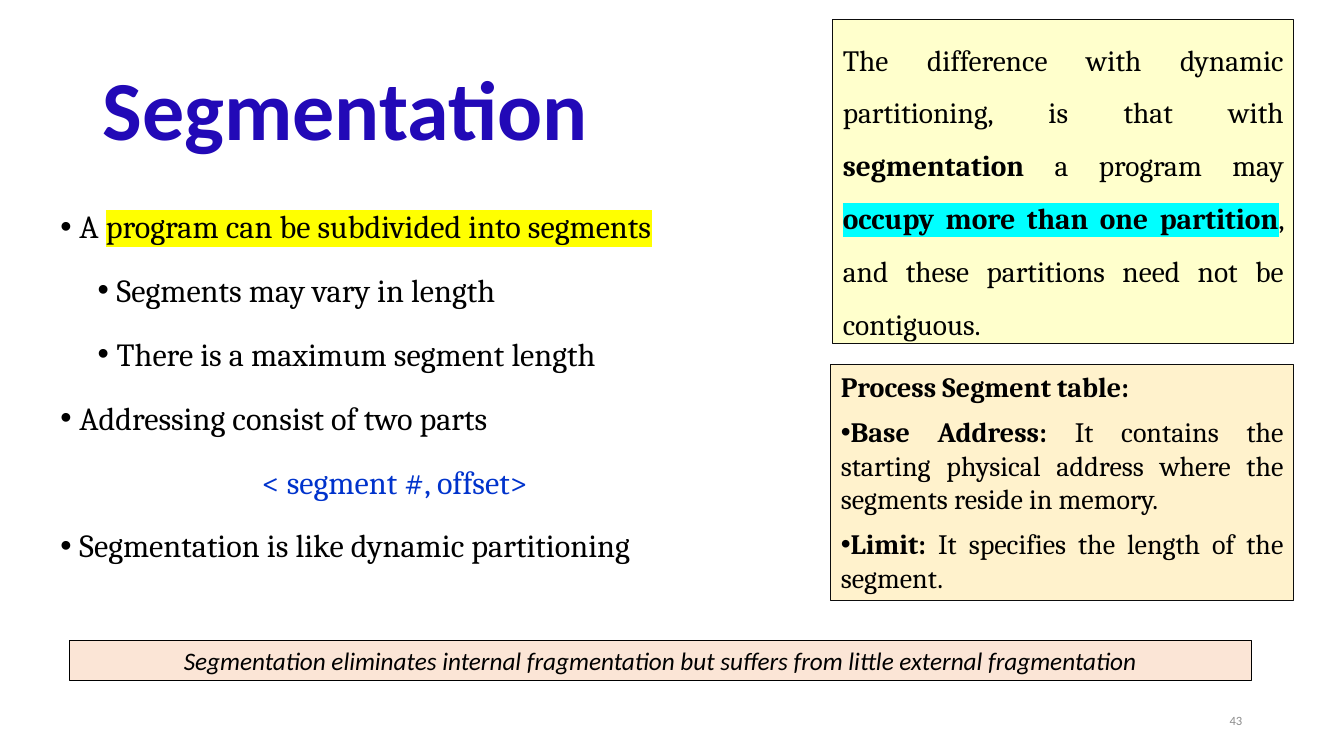
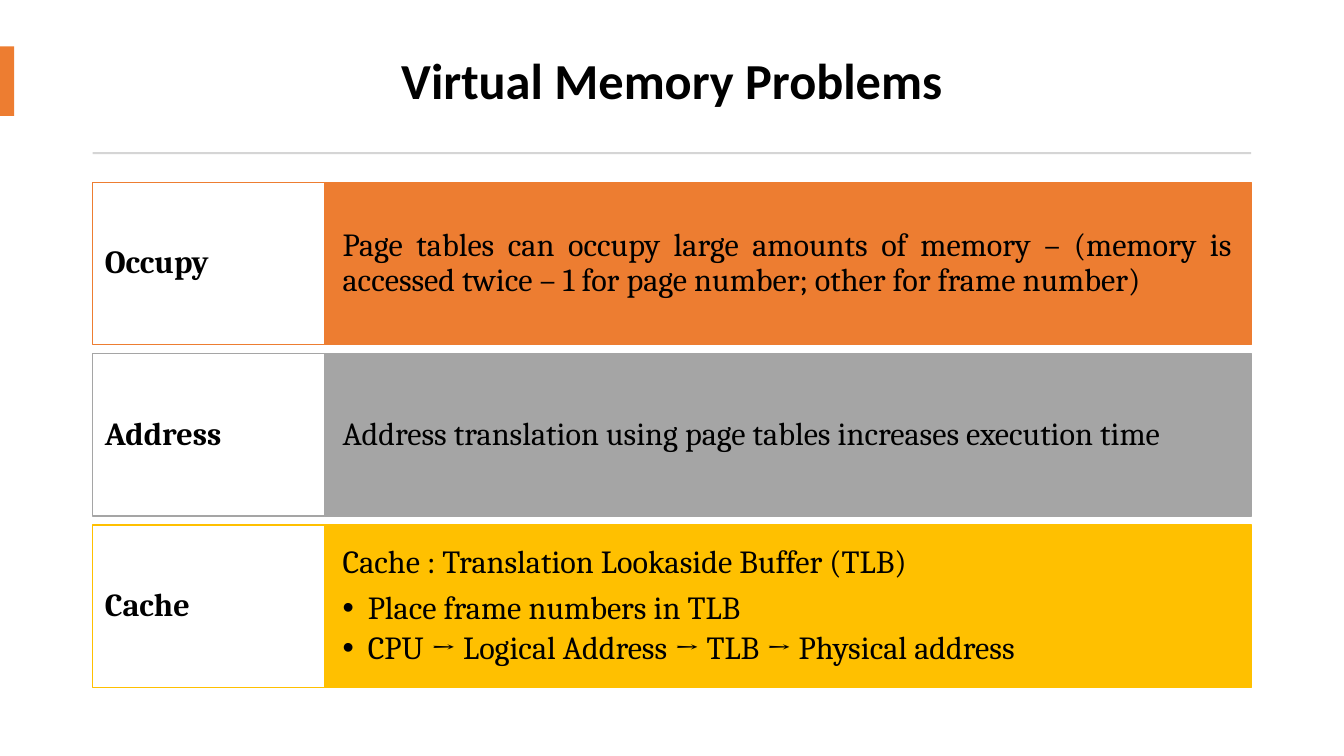
from lxml import etree
from pptx import Presentation, util as u
from pptx.dml.color import RGBColor
from pptx.enum import shapes, text
from pptx.oxml.ns import qn

WIDTH, HEIGHT = u.Inches(13.33), u.Inches(7.5)
COLUMN, ROW = WIDTH / 100, HEIGHT / 100
MARGIN, CONTENT = 6.9, 86.2
HEADING, SERIF = "Calibri", "Cambria"
LEFT, CENTER, RIGHT, JUSTIFY = (
    text.PP_ALIGN.LEFT, text.PP_ALIGN.CENTER, text.PP_ALIGN.RIGHT, text.PP_ALIGN.JUSTIFY)
TOP, MIDDLE = text.MSO_ANCHOR.TOP, text.MSO_ANCHOR.MIDDLE
COLORS = {
    "black": "000000", "white": "FFFFFF", "outline": "0D0D0D",
    "title": "2209B7", "address": "0033CC", "number": "8C8C8C",
    "yellow mark": "FFFF00", "cyan mark": "00FFFF",
    "difference": "FFFFCC", "segment table": "FFF2CC", "summary": "FBE5D6",
    "orange": "ED7D31", "gray": "A5A5A5", "gold": "FFC000", "rule": "D5D5D5",
}


def rgb(name):
    return RGBColor.from_string(COLORS[name])


def grid(left, top, width, height):
    return [int(n) for n in (left * COLUMN, top * ROW, width * COLUMN, height * ROW)]


def add_run(paragraph, words, size=23, font=SERIF, color="black",
            bold=False, italic=False, mark=None):
    run = paragraph.add_run()
    run.text = words
    run.font.size, run.font.name = u.Pt(size), font
    run.font.bold, run.font.italic = bold, italic
    run.font.color.rgb = rgb(color)
    if mark:
        highlight = etree.Element(qn("a:highlight"))
        etree.SubElement(highlight, qn("a:srgbClr"), val=COLORS[mark])
        run.font._element.find(qn("a:solidFill")).addnext(highlight)


def add_paragraph(frame, runs, first, align=LEFT, spacing=1.0, before=0, after=0,
                  level=0, indent=0, hang=0, bullet=False, **font):
    paragraph = frame.paragraphs[0] if first else frame.add_paragraph()
    paragraph.alignment, paragraph.level = align, level
    paragraph.line_spacing = spacing
    paragraph.space_before = u.Pt(0 if first else before)
    paragraph.space_after = u.Pt(after)
    properties = paragraph._p.get_or_add_pPr()
    properties.set("marL", str(u.Inches(indent)))
    properties.set("indent", str(u.Inches(-hang)))
    if bullet:
        etree.SubElement(properties, qn("a:buFont"), typeface="Arial")
        etree.SubElement(properties, qn("a:buChar"), char="•")
    for words, changes in runs:
        add_run(paragraph, words, **{**font, **changes})


def write(shape, *paragraphs, anchor=TOP, inset=(0.1, 0.05), **style):
    frame = shape.text_frame
    frame.word_wrap = True
    frame.vertical_anchor = anchor
    frame.margin_left = frame.margin_right = u.Inches(inset[0])
    frame.margin_top = frame.margin_bottom = u.Inches(inset[1])
    for position, (content, changes) in enumerate(paragraphs):
        runs = [(content, {})] if isinstance(content, str) else content
        add_paragraph(frame, runs, position == 0, **{**style, **changes})


def add_text(slide, place, *paragraphs, **style):
    write(slide.shapes.add_textbox(*grid(*place)), *paragraphs, **style)


def add_panel(slide, place, fill, *paragraphs, line=None, weight=0.75, **style):
    panel = slide.shapes.add_shape(shapes.MSO_SHAPE.RECTANGLE, *grid(*place))
    panel.shadow.inherit = False
    panel.fill.solid()
    panel.fill.fore_color.rgb = rgb(fill)
    if line:
        panel.line.color.rgb = rgb(line)
        panel.line.width = u.Pt(weight)
    else:
        panel.line.fill.background()
    if paragraphs:
        write(panel, *paragraphs, **style)


def add_title(slide, words, top, height, **style):
    add_text(slide, (MARGIN, top, CONTENT, height), (words, {}),
             anchor=MIDDLE, spacing=0.9, font=HEADING, bold=True, **style)


def build_segmentation(slide):
    add_title(slide, "Segmentation", 5.33, 19.33, size=60, color="title")

    point = dict(align=JUSTIFY, indent=0.19, hang=0.19, bullet=True)
    subpoint = dict(level=1, indent=0.56, hang=0.19, bullet=True)
    add_text(
        slide, (3.75, 26.67, 89.42, 63.47),
        ([("A ", {}),
          ("program can be subdivided into segments", dict(mark="yellow mark"))], point),
        ("Segments may vary in length", subpoint),
        ("There is a maximum segment length", subpoint),
        ("Addressing consist of two parts", point),
        ("< segment #, offset>", dict(level=1, indent=2, color="address")),
        ("Segmentation is like dynamic partitioning", point),
        before=12, after=6)

    add_panel(
        slide, (5.18, 84.67, 87.92, 5.33), "summary",
        ("Segmentation eliminates internal fragmentation but suffers from "
         "little external fragmentation", {}),
        line="black", align=CENTER, size=18, font=HEADING, italic=True)
    add_text(slide, (70.67, 92.67, 22.5, 5.33), ("43", {}), anchor=MIDDLE,
             align=RIGHT, size=9, font=HEADING, color="number")

    strong = dict(bold=True)
    add_panel(
        slide, (61.97, 2.53, 34.28, 42.93), "difference",
        ([("The difference with dynamic partitioning, is that with ", {}),
          ("segmentation", strong),
          (" a program may ", {}),
          ("occupy more than one partition", dict(bold=True, mark="cyan mark")),
          (", and these partitions need not be contiguous.", {})], {}),
        line="outline", align=JUSTIFY, spacing=1.5, after=6, size=21)

    field = dict(bullet=True)
    add_panel(
        slide, (61.82, 48.27, 34.43, 31.2), "segment table",
        ("Process Segment table:", strong),
        ([("Base Address: ", strong),
          ("It contains the starting physical address where the segments "
           "reside in memory.", {})], field),
        ([("Limit:", strong),
          (" It specifies the length of the segment.", {})], field),
        line="outline", align=JUSTIFY, before=5, after=3, size=20)


def build_problems(slide):
    add_title(slide, "Virtual Memory Problems", 3.6, 14.67, size=36, align=CENTER)
    add_panel(slide, (0, 6.13, 1.05, 9.2), "orange")
    add_panel(slide, (MARGIN, 20.13, CONTENT, 0.27), "rule")

    step = dict(level=1, indent=0.25, hang=0.25, bullet=True, after=3.5)
    problems = [
        ("Occupy", "orange", [
            ("Page tables can occupy large amounts of memory – (memory is accessed "
             "twice – 1 for page number; other for frame number)", {})]),
        ("Address", "gray", [
            ("Address translation using page tables increases execution time", {})]),
        ("Cache", "gold", [
            ("Cache : Translation Lookaside Buffer (TLB)", {}),
            ("Place frame numbers in TLB", step),
            ("CPU → Logical Address → TLB → Physical address", step)]),
    ]
    label_width = CONTENT / 5
    top, height, pitch = 24.13, 21.47, 22.67
    style = dict(weight=1, anchor=MIDDLE, align=JUSTIFY, spacing=0.9, after=8)
    for position, (label, color, details) in enumerate(problems):
        y = top + position * pitch
        add_panel(slide, (MARGIN + label_width, y, CONTENT - label_width, height),
                  color, *details, line=color, inset=(0.18, 0.2), **style)
        add_panel(slide, (MARGIN, y, label_width, height), "white", (label, {}),
                  line=color, inset=(0.12, 0.16), bold=True, **style)


def main():
    deck = Presentation()
    deck.slide_width, deck.slide_height = WIDTH, HEIGHT
    for build in (build_segmentation, build_problems):
        build(deck.slides.add_slide(deck.slide_layouts[6]))
    deck.save("out.pptx")


if __name__ == "__main__":
    main()
